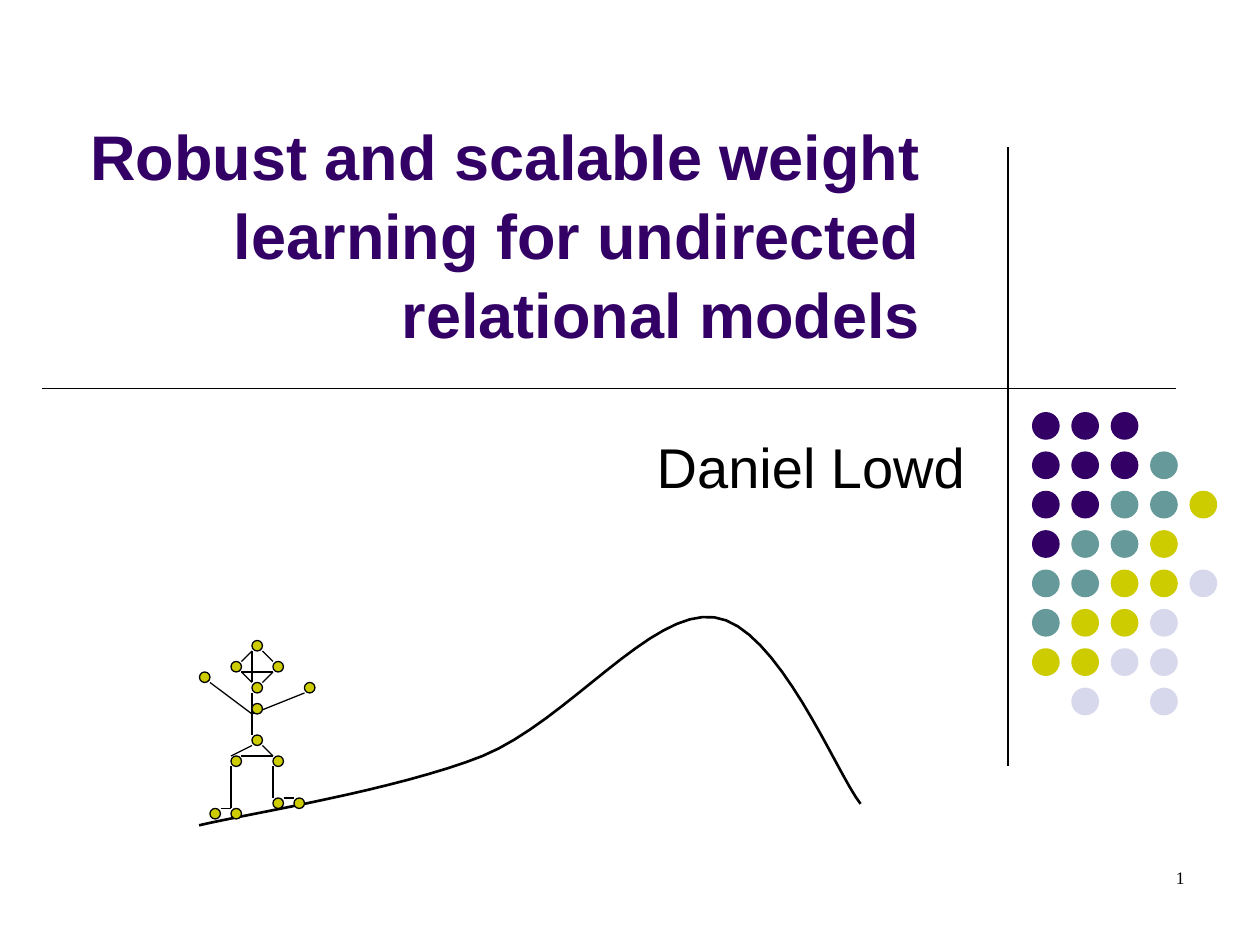
from typing import NamedTuple

from lxml import etree
from pptx import Presentation
from pptx.dml.color import RGBColor
from pptx.enum.shapes import MSO_CONNECTOR, MSO_SHAPE
from pptx.enum.text import MSO_ANCHOR, PP_ALIGN
from pptx.oxml.ns import qn
from pptx.util import Inches, Pt

OVAL = MSO_SHAPE.OVAL
STRAIGHT = MSO_CONNECTOR.STRAIGHT
TOP, BOTTOM = MSO_ANCHOR.TOP, MSO_ANCHOR.BOTTOM
RIGHT = PP_ALIGN.RIGHT

BLACK = RGBColor(0x00, 0x00, 0x00)
PURPLE = RGBColor(0x33, 0x00, 0x66)
TEAL = RGBColor(0x66, 0x99, 0x99)
LIME = RGBColor(0xCC, 0xCC, 0x00)
PALE = RGBColor(0xD8, 0xD8, 0xEC)


class Box(NamedTuple):
    left: float
    top: float
    width: float
    height: float


class Style(NamedTuple):
    font: str
    size: int
    color: RGBColor
    bold: bool = False


class Edge(NamedTuple):
    x1: float
    y1: float
    x2: float
    y2: float


class Curve(NamedTuple):
    """A cubic Bezier piece: start, two controls, end."""
    a: tuple[float, float]
    b: tuple[float, float]
    c: tuple[float, float]
    d: tuple[float, float]


# Dot pattern: one letter a dot, a point for a gap
DOTS = ["PPP", "PPPT", "PPTTL", "PTTL", "TTLLW", "TLLW", "LLWW", ".W.W"]
HUES = {"P": PURPLE, "T": TEAL, "L": LIME, "W": PALE}
PITCH = 1.25 / 4

# The stick figure lies on a grid of twelfths of an inch
GRID = 1 / 12
NODES = [
    (24, 61), (26, 63), (19, 64), (29, 65), (24, 65), (22, 63),
    (24, 70), (26, 72), (26, 76), (28, 76), (22, 72), (22, 77), (20, 77),
]
NECK = (24, 67)
EDGES = [
    Edge(25, 65, 26, 64), Edge(23, 63, 24, 62), Edge(25, 62, 26, 63),
    Edge(23, 64, 24, 65), Edge(24, 68, 29, 66), Edge(24, 68, 20, 65),
    Edge(24, 70, 24, 66), Edge(25, 71, 26, 72), Edge(26, 76, 26, 73),
    Edge(27, 76, 28, 76), Edge(22, 72, 24, 71), Edge(22, 77, 22, 73),
    Edge(21, 77, 22, 77), Edge(23, 64, 26, 64), Edge(24, 65, 24, 62),
    Edge(23, 72, 26, 72),
]

HILL = [
    Curve((1.58, 6.55), (1.96, 6.46), (3.15, 6.27), (3.83, 6)),
    Curve((3.83, 6), (4.51, 5.72), (5.17, 4.83), (5.67, 4.9)),
    Curve((5.67, 4.9), (6.17, 4.96), (6.64, 6.14), (6.83, 6.38)),
]
STEPS = 16


def add_line(slide, edge: Edge, width: float) -> None:
    line = slide.shapes.add_connector(STRAIGHT, *map(Inches, edge))
    line.line.color.rgb = BLACK
    line.line.width = Pt(width)
    etree.SubElement(line._element.spPr, qn("a:effectLst"))


def add_dot(slide, x: float, y: float, size: float, fill: RGBColor,
            edged: bool = False) -> None:
    dot = slide.shapes.add_shape(OVAL, *map(Inches, (x, y, size, size)))
    dot.shadow.inherit = False
    dot.fill.solid()
    dot.fill.fore_color.rgb = fill
    if edged:
        dot.line.color.rgb = BLACK
        dot.line.width = Pt(0.75)
    else:
        dot.line.fill.background()


def add_node(slide, col: int, row: int) -> None:
    add_dot(slide, col * GRID, row * GRID, GRID, LIME, edged=True)


def add_text(slide, box: Box, text: str, style: Style, anchor=TOP,
             inset: float = 0.05, pitch: float = 1.0) -> None:
    """Add right-aligned text; inset is the top margin, pitch the line spacing."""
    frame = slide.shapes.add_textbox(*map(Inches, box)).text_frame
    frame.word_wrap = True
    frame.vertical_anchor = anchor
    frame.margin_top = Inches(inset)
    para = frame.paragraphs[0]
    para.alignment = RIGHT
    para.line_spacing = pitch
    run = para.add_run()
    run.text = text
    run.font.name = style.font
    run.font.size = Pt(style.size)
    run.font.bold = style.bold
    run.font.color.rgb = style.color


def trace(curve: Curve) -> list[tuple[float, float]]:
    """Return the points that follow the start of a curve."""
    points = []
    for step in range(1, STEPS + 1):
        t = step / STEPS
        u = 1 - t
        x, y = (u**3 * a + 3 * u * u * t * b + 3 * u * t * t * c + t**3 * d
                for a, b, c, d in zip(*curve))
        points.append((Inches(x), Inches(y)))
    return points


def add_hill(slide) -> None:
    x, y = HILL[0].a
    path = slide.shapes.build_freeform(Inches(x), Inches(y))
    for curve in HILL:
        path.add_line_segments(trace(curve), close=False)
    hill = path.convert_to_shape()
    hill.shadow.inherit = False
    hill.fill.background()
    hill.line.color.rgb = BLACK
    hill.line.width = Pt(1.5)


def main() -> None:
    deck = Presentation()
    deck.slide_width, deck.slide_height = Inches(10), Inches(7.5)
    slide = deck.slides.add_slide(deck.slide_layouts[6])

    add_line(slide, Edge(8, 1.17, 8, 6.08), 0.75)
    for row, marks in enumerate(DOTS):
        for col, mark in enumerate(marks):
            if mark in HUES:
                add_dot(slide, 8.19 + col * PITCH, 3.27 + row * PITCH,
                        0.22, HUES[mark])
    add_line(slide, Edge(0.33, 3.08, 9.33, 3.08), 0.5)

    add_text(slide, Box(0.35, 0.51, 7.05, 2.33),
             "Robust and scalable weight learning for undirected "
             "relational models",
             Style("Arial", 36, PURPLE, True), BOTTOM, pitch=1.05)
    add_text(slide, Box(0.93, 3.33, 6.83, 1.57), "Daniel Lowd",
             Style("Arial", 32, BLACK), inset=0.1)

    add_hill(slide)
    for node in NODES:
        add_node(slide, *node)
    for edge in EDGES:
        add_line(slide, Edge(*(n * GRID for n in edge)), 0.75)
    add_node(slide, *NECK)

    add_text(slide, Box(7.17, 6.83, 2.33, 0.5), "1",
             Style("Times New Roman", 10, BLACK))
    deck.save("out.pptx")


if __name__ == "__main__":
    main()
